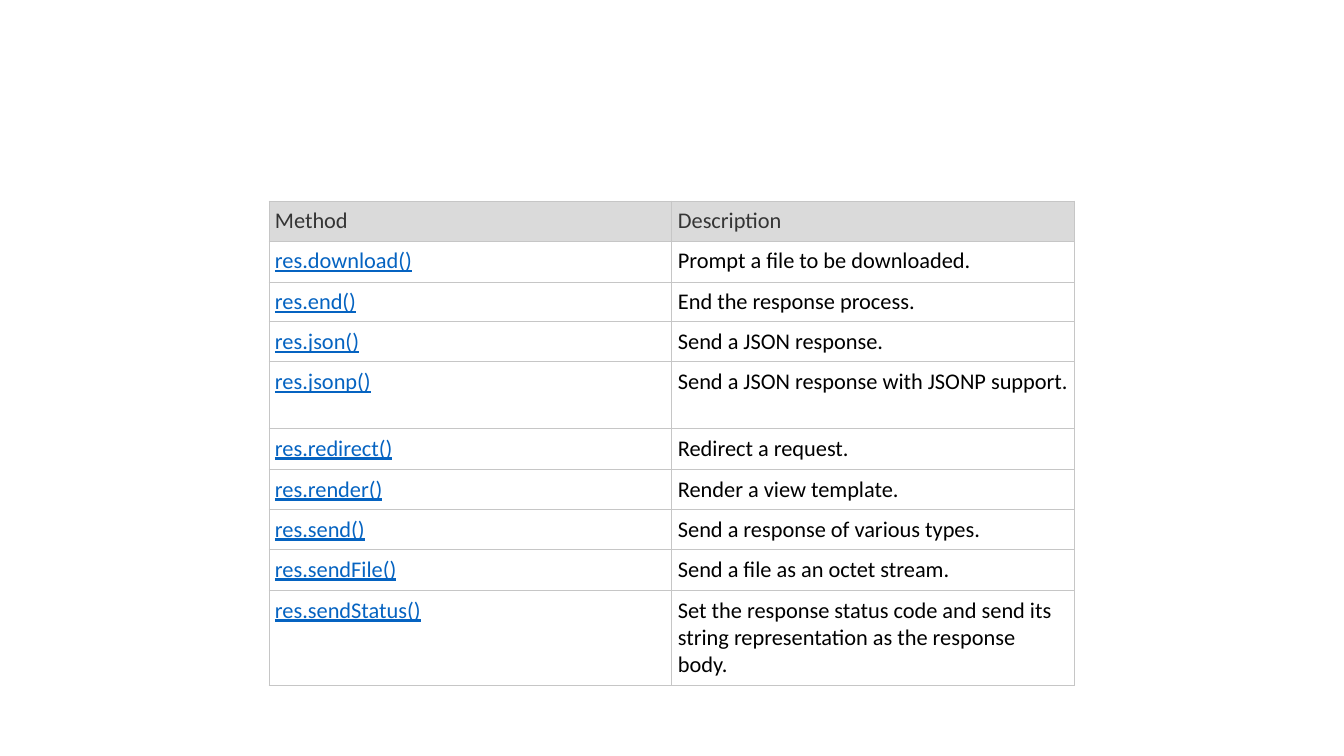
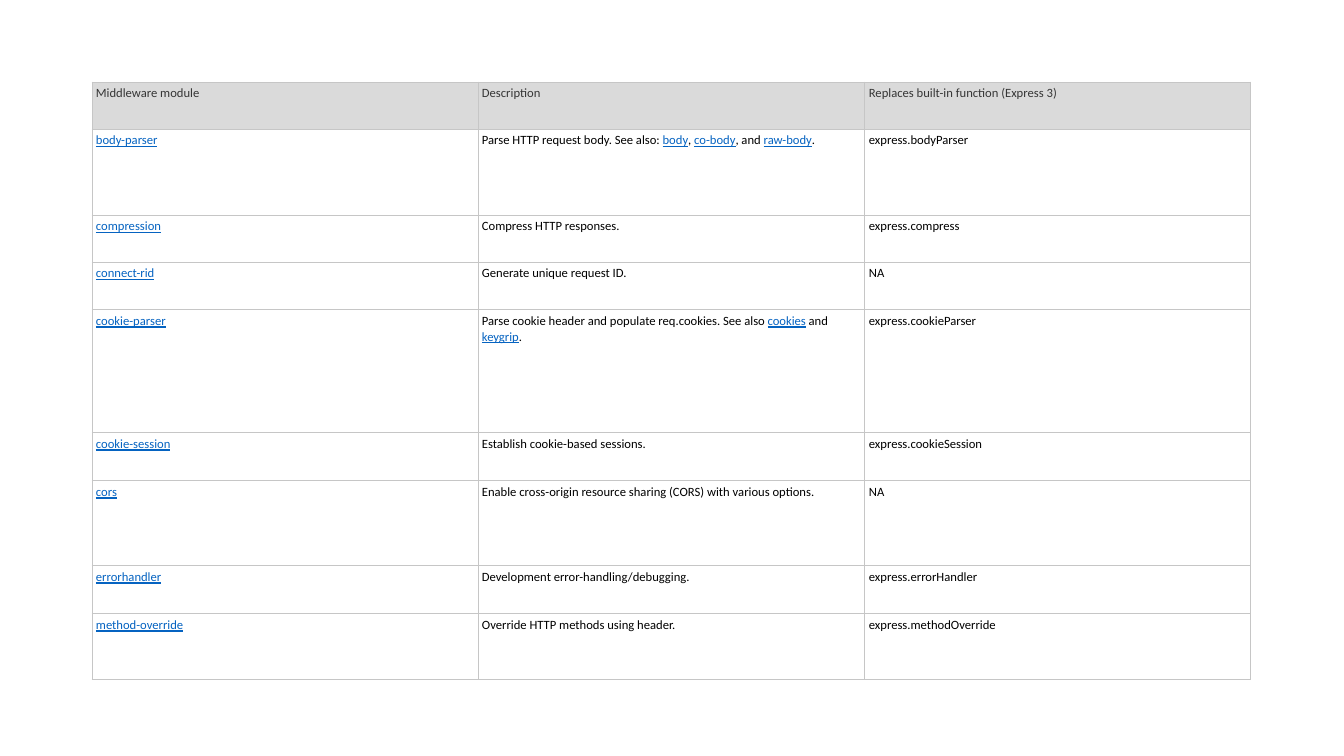
"""Build two slides of reference tables for the Express web framework."""
from dataclasses import dataclass
from itertools import pairwise

from lxml import etree
from pptx import Presentation
from pptx.dml.color import RGBColor
from pptx.enum.text import MSO_ANCHOR
from pptx.oxml.ns import qn
from pptx.util import Pt

TOP = MSO_ANCHOR.TOP
SCALE = 914400 / 100.8
BLANK = 6


@dataclass(frozen=True)
class Theme:
    face: str = "Calibri"
    large: int = 16
    small: int = 9
    head: str = "353535"
    body: str = "000000"
    link: str = "0563C1"
    band: str = "DADADA"
    rule: str = "C6C6C6"


THEME = Theme()


def px(count):
    """Turn pixels into EMU."""
    return round(count * SCALE)


def frame(cell):
    """Draw a thin line on each side of a cell."""
    props = cell._tc.get_or_add_tcPr()
    for side in ("a:lnL", "a:lnR", "a:lnT", "a:lnB"):
        line = etree.SubElement(props, qn(side), w=str(Pt(0.75)))
        fill = etree.SubElement(line, qn("a:solidFill"))
        etree.SubElement(fill, qn("a:srgbClr"), val=THEME.rule)


TABLES = [
    {
        "size": THEME.large,
        "inset": 6,
        "cols": [269, 672, 1075],
        "rows": [201, 241, 282, 322, 362, 429, 470, 510, 550, 591, 686],
        "cells": [
            ("Method", "Description"),
            ("res.download()", "Prompt a file to be downloaded."),
            ("res.end()", "End the response process."),
            ("res.json()", "Send a JSON response."),
            ("res.jsonp()", "Send a JSON response with JSONP support."),
            ("res.redirect()", "Redirect a request."),
            ("res.render()", "Render a view template."),
            ("res.send()", "Send a response of various types."),
            ("res.sendFile()", "Send a file as an octet stream."),
            ("res.sendStatus()", "Set the response status code and send its "
             "string representation as the response body."),
        ],
    },
    {
        "size": THEME.small,
        "inset": 4,
        "cols": [92, 478, 865, 1251],
        "rows": [82, 129, 215, 262, 310, 433, 481, 566, 614, 680],
        "cells": [
            ("Middleware module", "Description",
             "Replaces built-in function (Express 3)"),
            ("body-parser", "Parse HTTP request body. See also: |body|, "
             "|co-body|, and |raw-body|.", "express.bodyParser"),
            ("compression", "Compress HTTP responses.", "express.compress"),
            ("connect-rid", "Generate unique request ID.", "NA"),
            ("cookie-parser", "Parse cookie header and populate req.cookies. "
             "See also |cookies| and |keygrip|.", "express.cookieParser"),
            ("cookie-session", "Establish cookie-based sessions.",
             "express.cookieSession"),
            ("cors", "Enable cross-origin resource sharing (CORS) with "
             "various options.", "NA"),
            ("errorhandler", "Development error-handling/debugging.",
             "express.errorHandler"),
            ("method-override", "Override HTTP methods using header.",
             "express.methodOverride"),
        ],
    },
]

deck = Presentation()
deck.slide_width, deck.slide_height = px(1344), px(756)

for data in TABLES:
    slide = deck.slides.add_slide(deck.slide_layouts[BLANK])
    cols, rows = data["cols"], data["rows"]
    table = slide.shapes.add_table(
        len(rows) - 1, len(cols) - 1, px(cols[0]), px(rows[0]),
        px(cols[-1] - cols[0]), px(rows[-1] - rows[0])).table
    table.horz_banding = False
    table.first_row = False
    for col, (left, right) in zip(table.columns, pairwise(cols)):
        col.width = px(right - left)
    for row, (top, base) in zip(table.rows, pairwise(rows)):
        row.height = px(base - top)

    sides = ("left", "right", "top", "bottom")
    layout = {f"margin_{side}": px(data["inset"]) for side in sides}
    layout["vertical_anchor"] = TOP
    style = {"name": THEME.face, "size": Pt(data["size"]), "bold": False}

    for r, words in enumerate(data["cells"]):
        for c, text in enumerate(words):
            cell = table.cell(r, c)
            for name, value in layout.items():
                setattr(cell, name, value)
            frame(cell)
            if r == 0:
                cell.fill.solid()
                cell.fill.fore_color.rgb = RGBColor.from_string(THEME.band)
            else:
                cell.fill.background()
            if r and c == 0:
                text = f"|{text}|"
            para = cell.text_frame.paragraphs[0]
            for i, part in enumerate(text.split("|")):
                if not part:
                    continue
                run = para.add_run()
                run.text = part
                link = i % 2 == 1
                for name, value in {**style, "underline": link}.items():
                    setattr(run.font, name, value)
                tint = THEME.link if link else THEME.body if r else THEME.head
                run.font.color.rgb = RGBColor.from_string(tint)

deck.save("out.pptx")
